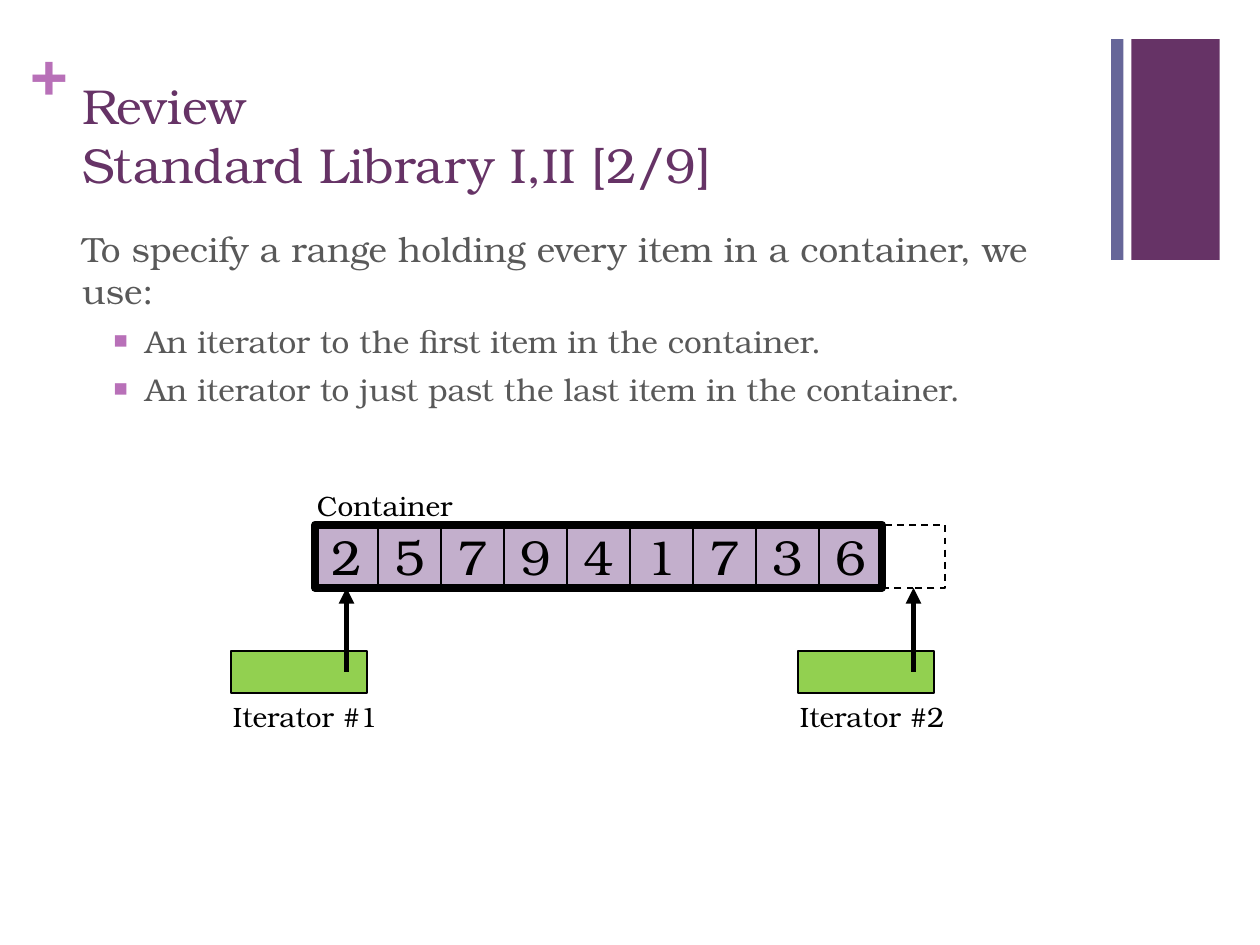
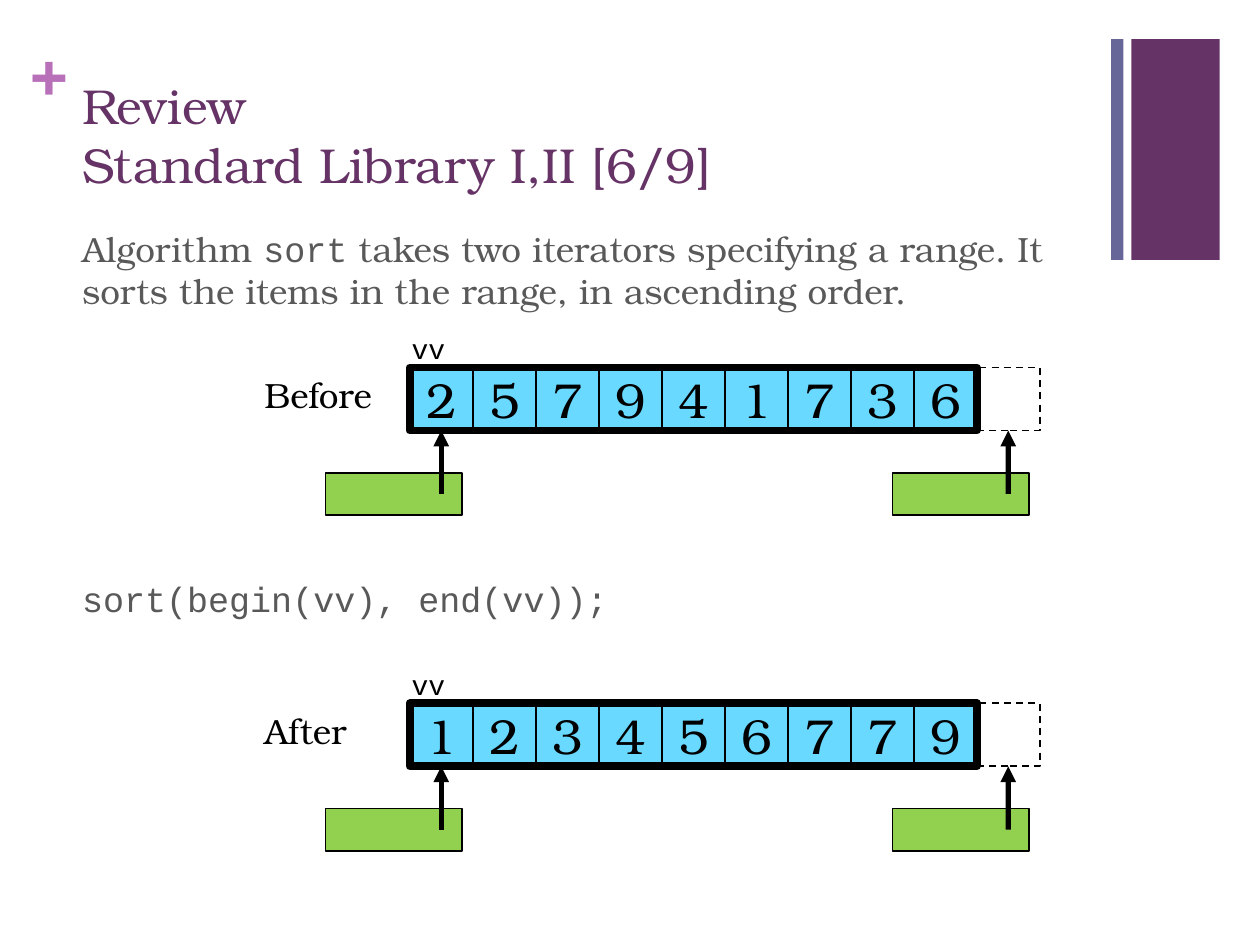
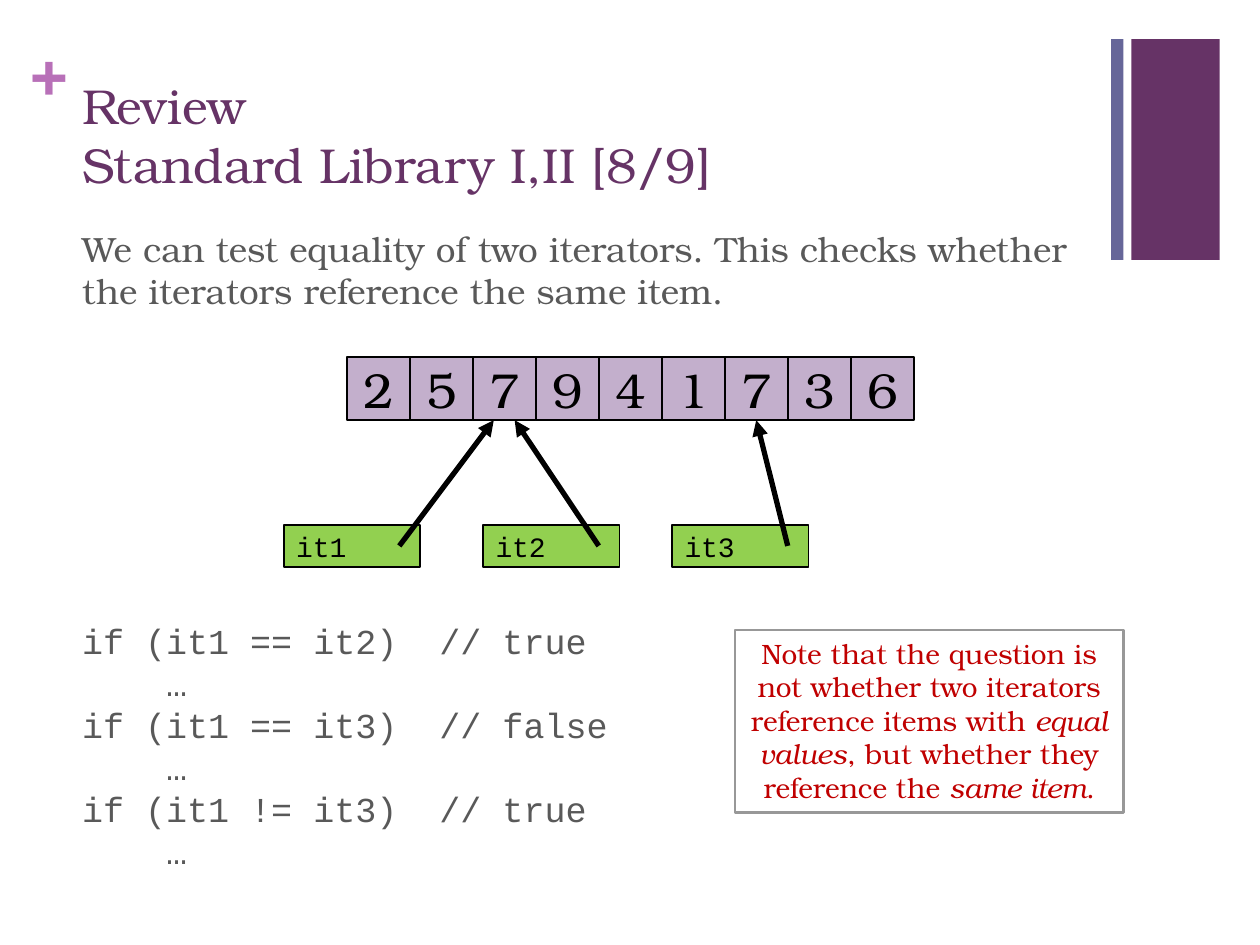
from copy import deepcopy
from dataclasses import dataclass

from lxml import etree
from pptx import Presentation
from pptx.dml.color import RGBColor
from pptx.enum import dml, shapes, text
from pptx.oxml import ns
from pptx.util import Cm, Pt


@dataclass(frozen=True)
class Theme:
    serif: str = "TeX Gyre Bonum"
    mono: str = "Courier New"
    title: str = "663366"
    band: str = "666699"
    accent: str = "B870B8"
    body: str = "595959"
    ink: str = "000000"
    lilac: str = "C3AFCC"
    sky: str = "6AD9FF"
    green: str = "92D050"
    warning: str = "C00000"
    frame: str = "989898"
    plus_size: int = 36
    title_size: int = 28
    body_size: int = 20
    bullet_size: int = 18
    digit_size: int = 28
    label_size: int = 16


THEME = Theme()

# Lengths in centimetres
CELL = 1.27
ITERATOR_WIDTH, ITERATOR_HEIGHT = 2.75, 0.85
ARROW_INSET = 2.33
LABEL_HEIGHT = 0.94
LABEL_SHIFT = 0.21
TITLE_BOX = (1.4, 1.35, 20.98, 2.67)
BODY_BOX = (1.4, 4.45, 20.98, 13.13)
CODE_PITCH = 24


# Formatting helpers
def apply(target, formats):
    for name, value in formats.items():
        setattr(target, name, value)


def style(size, color=THEME.ink, name=THEME.serif, **more):
    return {"size": Pt(size), "color": color, "name": name, **more}


def format_font(font, formats):
    formats = dict(formats)
    font.color.rgb = RGBColor.from_string(formats.pop("color"))
    apply(font, formats)


def add_spans(para, spans, base):
    """Add (text, changes) spans; a newline becomes a line break."""
    for content, changes in spans:
        for index, piece in enumerate(content.split("\n")):
            if index:
                para.add_line_break()
                para._p[-1].append(deepcopy(span._r.rPr))
            span = para.add_run()
            span.text = piece
            format_font(span.font, {**base, **changes})


def place(box):
    return [Cm(length) for length in box]


def add_child(parent, tag, **attributes):
    return etree.SubElement(parent, ns.qn(tag), attributes)


# Basic parts
def add_box(page, box, fill=None, line=None, width=1, dash=None):
    shape = page.shapes.add_shape(shapes.MSO_SHAPE.RECTANGLE, *place(box))
    shape.shadow.inherit = False
    if fill:
        shape.fill.solid()
        shape.fill.fore_color.rgb = RGBColor.from_string(fill)
    else:
        shape.fill.background()
    if line:
        shape.line.color.rgb = RGBColor.from_string(line)
        apply(shape.line, {"width": Pt(width), "dash_style": dash})
    else:
        shape.line.fill.background()
    return shape


def write_in(shape, spans, base, align=text.PP_ALIGN.CENTER):
    para = shape.text_frame.paragraphs[0]
    para.alignment = align
    add_spans(para, spans, base)


def add_label(page, box, content, base):
    label = page.shapes.add_textbox(*place(box))
    apply(label.text_frame, {
        "word_wrap": True,
        "auto_size": text.MSO_AUTO_SIZE.SHAPE_TO_FIT_TEXT,
    })
    write_in(label, [(content, {})], base, text.PP_ALIGN.LEFT)
    return label


def add_arrow(page, start, end):
    arrow = page.shapes.add_connector(
        shapes.MSO_CONNECTOR.STRAIGHT, *place(start + end))
    arrow.line.color.rgb = RGBColor.from_string(THEME.ink)
    arrow.line.width = Pt(3)
    properties = arrow.element.spPr
    add_child(properties.find(ns.qn("a:ln")), "a:tailEnd", type="triangle")
    add_child(properties, "a:effectLst")


# Shared layout: placeholder positions, bands and plus sign
def prepare_layout(layout):
    for holder in list(layout.placeholders):
        index = holder.placeholder_format.idx
        if index > 1:
            holder.element.getparent().remove(holder.element)
            continue
        box = BODY_BOX if index else TITLE_BOX
        apply(holder, dict(zip(("left", "top", "width", "height"), place(box))))


def decorate_layout(layout, page):
    """Draw the decoration on a page, then move it to the layout."""
    plus = add_label(page, (0.61, 0.64, 0.74, 1.55), "+",
                     style(THEME.plus_size, THEME.accent, bold=True))
    apply(plus.text_frame, dict.fromkeys(
        ("margin_left", "margin_top", "margin_right", "margin_bottom"), 0))
    parts = [add_box(page, (22.81, 0.79, 1.78, 4.45), THEME.title), plus,
             add_box(page, (22.4, 0.79, 0.25, 4.45), THEME.band)]
    for part in parts:
        layout.shapes.element.append(part.element)


# Title and body
def add_page(deck, part):
    page = deck.slides.add_slide(deck.slide_layouts[1])
    frame = page.shapes.title.text_frame
    apply(frame, {"auto_size": text.MSO_AUTO_SIZE.NONE,
                  "vertical_anchor": text.MSO_ANCHOR.BOTTOM})
    write_in(page.shapes.title, [(f"Review\nStandard Library I,II [{part}/9]", {})],
             style(THEME.title_size, THEME.title), text.PP_ALIGN.LEFT)
    return page


def fill_body(page, intro, bullets=(), code=(), code_gap=0):
    frame = page.placeholders[1].text_frame
    frame.auto_size = text.MSO_AUTO_SIZE.NONE

    def add_line(spans, base, before, indent=0, hanging=0, **formats):
        first = not frame.paragraphs[0].runs
        para = frame.paragraphs[0] if first else frame.add_paragraph()
        apply(para, {"space_before": Pt(before), **formats})
        properties = para._p.get_or_add_pPr()
        properties.set("marL", str(Cm(indent)))
        properties.set("indent", str(Cm(-hanging)))
        if hanging:
            color = add_child(properties, "a:buClr")
            add_child(color, "a:srgbClr", val=THEME.accent)
            add_child(properties, "a:buSzPct", val="75000")
            add_child(properties, "a:buChar", char="■")
        else:
            add_child(properties, "a:buNone")
        add_spans(para, spans, base)

    add_line(intro, style(THEME.body_size, THEME.body), 0)
    for bullet in bullets:
        add_line([(bullet, {})], style(THEME.bullet_size, THEME.body), 6,
                 indent=CELL, hanging=CELL / 2, level=1)
    for row, line in enumerate(code):
        add_line([(line, {})], style(THEME.body_size, THEME.body, THEME.mono),
                 0 if row else code_gap, line_spacing=Pt(CODE_PITCH))


# Container diagram
def draw_container(page, left, top, values, fill, outlined=True):
    for column, value in enumerate(values):
        cell = add_box(page, (left + column * CELL, top, CELL, CELL), fill, THEME.ink)
        write_in(cell, [(value, {})], style(THEME.digit_size))
    if outlined:
        length = len(values) * CELL
        add_box(page, (left + length, top, CELL, CELL), line=THEME.ink,
                dash=dml.MSO_LINE.DASH)
        add_box(page, (left, top, length, CELL), line=THEME.ink, width=4.5)


def name_container(page, left, top, name, font):
    add_label(page, (left - LABEL_SHIFT, top - 0.85, 6.35, LABEL_HEIGHT), name,
              style(THEME.label_size, name=font))


def draw_iterator(page, left, top, tip, name=""):
    box = add_box(page, (left, top, ITERATOR_WIDTH, ITERATOR_HEIGHT),
                  THEME.green, THEME.ink)
    if name:
        write_in(box, [(name, {})], style(THEME.label_size, name=THEME.mono),
                 text.PP_ALIGN.LEFT)
    add_arrow(page, (left + ARROW_INSET, top + ITERATOR_HEIGHT / 2), tip)


def draw_range(page, left, top, values, drop, captions=()):
    """Point upright iterators at the first cell and just past the last."""
    for index, column in enumerate((0, len(values))):
        tip_x = left + (column + 0.5) * CELL
        box_left = tip_x - ARROW_INSET
        draw_iterator(page, box_left, top + drop, (tip_x, top + CELL))
        if captions:
            add_label(page, (box_left - LABEL_SHIFT, top + drop + ITERATOR_HEIGHT,
                             3.81, LABEL_HEIGHT),
                      captions[index], style(THEME.label_size))


# Slides
def build_range_slide(page):
    fill_body(page,
              [("To specify a range holding every item in a container, we use:", {})],
              bullets=["An iterator to the first item in the container.",
                       "An iterator to just past the last item in the container."])
    left, top, values = 6.35, 10.58, "257941736"
    draw_container(page, left, top, values, THEME.lilac)
    name_container(page, left, top, "Container", THEME.serif)
    draw_range(page, left, top, values, 2.54, ("Iterator #1", "Iterator #2"))


def build_sort_slide(page):
    fill_body(page, [
        ("Algorithm ", {}), ("sort", {"name": THEME.mono}),
        (" takes two iterators specifying a range. It sorts the items "
         "in the range, in ascending order.", {}),
    ], code=["sort(begin(vv), end(vv));"], code_gap=152)
    left = 8.26
    for stage, top, values in (("Before", 7.41, "257941736"),
                               ("After", 14.18, "123456779")):
        add_label(page, (left - 3.18, top, 3.6, 1.12), stage, style(THEME.body_size))
        draw_container(page, left, top, values, THEME.sky)
        name_container(page, left, top, "vv", THEME.mono)
        draw_range(page, left, top, values, 2.12)


def build_equality_slide(page):
    fill_body(page, [("We can test equality of two iterators. This checks whether "
                      "the iterators reference the same item.", {})],
              code=["if (it1 == it2)  // true", "    …",
                    "if (it1 == it3)  // false", "    …",
                    "if (it1 != it3)  // true", "    …"], code_gap=176)
    left, top = 6.99, 7.2
    draw_container(page, left, top, "257941736", THEME.lilac, outlined=False)
    for name, box_left, column, shift in (("it1", 5.72, 2, -0.21),
                                          ("it2", 9.74, 2, 0.21),
                                          ("it3", 13.55, 6, 0)):
        tip = (left + (column + 0.5) * CELL + shift, top + CELL)
        draw_iterator(page, box_left, 10.58, tip, name)
    draw_note(page, (14.82, 12.7, 7.83, 3.68))


def draw_note(page, box):
    note = add_box(page, box, line=THEME.frame, width=1.25)
    apply(note.text_frame, {
        "word_wrap": True,
        "vertical_anchor": text.MSO_ANCHOR.TOP,
        "auto_size": text.MSO_AUTO_SIZE.SHAPE_TO_FIT_TEXT,
    })
    emphasis = {"italic": True}
    write_in(note, [
        ("Note that the question is\nnot whether two iterators "
         "reference items with ", {}),
        ("equal values", emphasis), (", but whether they reference the ", {}),
        ("same item", emphasis), (".", {}),
    ], style(THEME.label_size, THEME.warning))


def main():
    deck = Presentation()
    apply(deck, {"slide_width": Cm(25.4), "slide_height": Cm(19.05)})
    layout = deck.slide_layouts[1]
    prepare_layout(layout)
    for part, build in ((2, build_range_slide), (6, build_sort_slide),
                        (8, build_equality_slide)):
        page = add_page(deck, part)
        if part == 2:
            decorate_layout(layout, page)
        build(page)
    deck.save("out.pptx")


if __name__ == "__main__":
    main()
